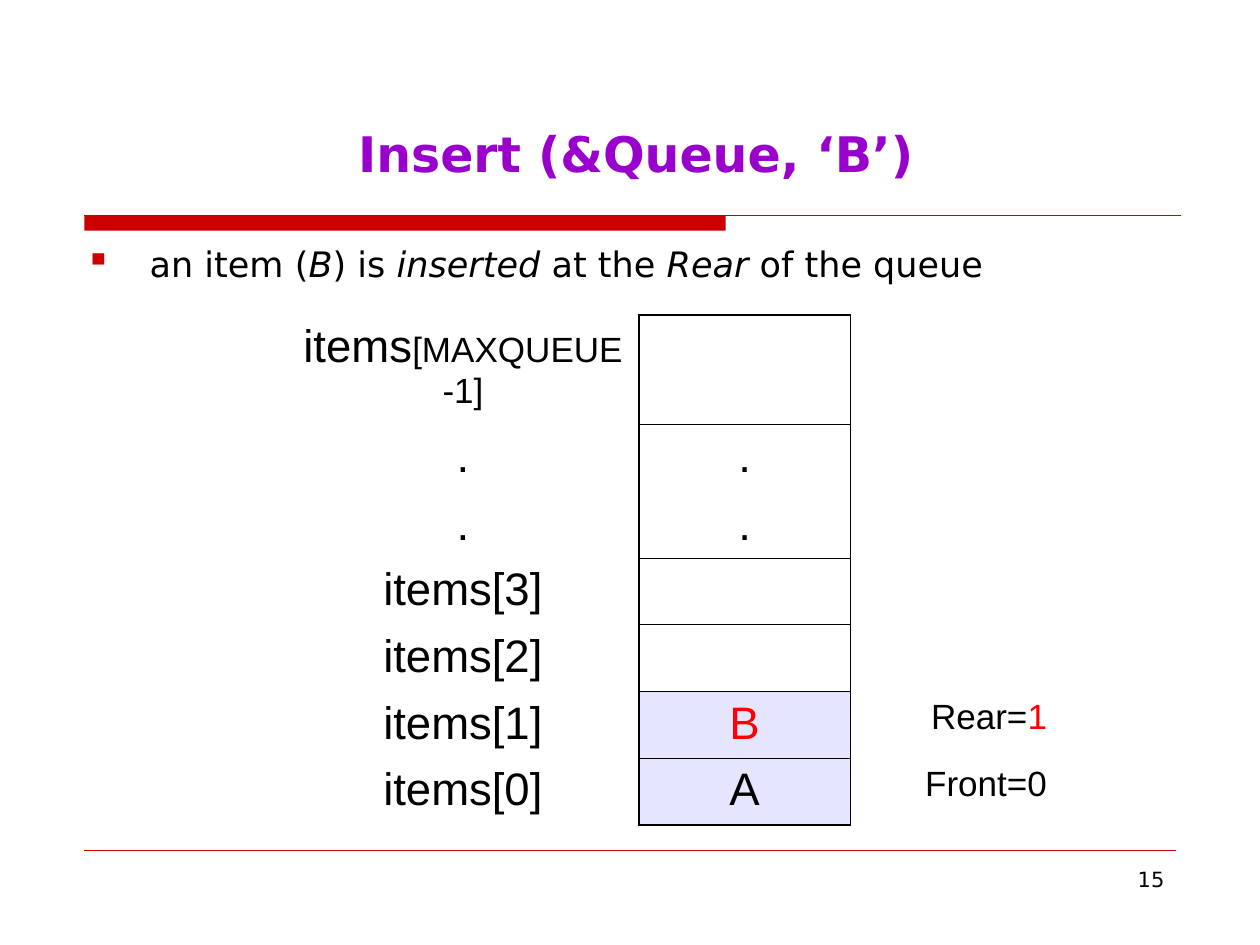
import pptx
import pptx.util
import pptx.dml.color
import pptx.enum.shapes
import pptx.enum.text
import pptx.oxml.ns
from lxml import etree

Inches = pptx.util.Inches
Pt = pptx.util.Pt
RGBColor = pptx.dml.color.RGBColor
ALIGN = pptx.enum.text.PP_ALIGN
ANCHOR = pptx.enum.text.MSO_ANCHOR
qn = pptx.oxml.ns.qn

BLACK = RGBColor(0x00, 0x00, 0x00)
RED = RGBColor(0xFF, 0x00, 0x00)
RULE_RED = RGBColor(0xCC, 0x00, 0x00)
PURPLE = RGBColor(0x99, 0x00, 0xCC)
LAVENDER = RGBColor(0xE5, 0xE5, 0xFF)
OUTER, INNER = 1.08, 0.45
SLIDE_FONT, TABLE_FONT = "DejaVu Sans", "Arial"


def add_run(paragraph, text, size=20, font=SLIDE_FONT, color=BLACK, bold=False, italic=False):
    run = paragraph.add_run()
    run.text = text
    run.font.size = Pt(size)
    run.font.name = font
    run.font.color.rgb = color
    run.font.bold = bold
    run.font.italic = italic


def add_text_box(slide, box):
    frame = slide.shapes.add_textbox(*map(Inches, box)).text_frame
    frame.word_wrap = True
    return frame.paragraphs[0]


def add_rule(slide, left, right, top, width):
    rule = slide.shapes.add_connector(
        pptx.enum.shapes.MSO_CONNECTOR.STRAIGHT,
        Inches(left), Inches(top), Inches(right), Inches(top))
    rule.line.color.rgb = RULE_RED
    rule.line.width = Pt(width)
    etree.SubElement(rule._element.spPr, qn("a:effectLst"))


def add_title(slide, box):
    title = slide.shapes.title
    title.left, title.top, title.width, title.height = map(Inches, box)
    frame = title.text_frame
    frame.vertical_anchor = ANCHOR.BOTTOM
    frame.auto_size = pptx.enum.text.MSO_AUTO_SIZE.NONE
    paragraph = frame.paragraphs[0]
    paragraph.alignment = ALIGN.CENTER
    add_run(paragraph, "Insert (&Queue, ‘B’)", size=28, color=PURPLE, bold=True)


def add_title_rule(slide, box):
    left, top, width, height = box
    bar = slide.shapes.add_shape(
        pptx.enum.shapes.MSO_SHAPE.RECTANGLE,
        Inches(left), Inches(top), Inches(5.09), Inches(height))
    bar.shadow.inherit = False
    bar.fill.solid()
    bar.fill.fore_color.rgb = RULE_RED
    bar.line.fill.background()
    add_rule(slide, left, left + width, top, 0.75)


def add_bullet_text(slide, box):
    paragraph = add_text_box(slide, box)
    paragraph.alignment = ALIGN.JUSTIFY
    paragraph.line_spacing = 1.14
    properties = paragraph._p.get_or_add_pPr()
    properties.set("marL", str(Inches(0.51)))
    properties.set("indent", str(-Inches(0.51)))
    bullet_color = etree.SubElement(properties, qn("a:buClr"))
    etree.SubElement(bullet_color, qn("a:srgbClr"), val=str(RULE_RED))
    etree.SubElement(properties, qn("a:buChar"), char="▪")
    # Every second piece is in italics
    pieces = ["an item (", "B", ") is ", "inserted ", "at the ", "Rear ", "of the queue"]
    for index, piece in enumerate(pieces):
        add_run(paragraph, piece, italic=index % 2 == 1)


def set_borders(cell, left=0, right=0, top=0, bottom=0):
    properties = cell._tc.get_or_add_tcPr()
    sides = {"a:lnL": left, "a:lnR": right, "a:lnT": top, "a:lnB": bottom}
    for position, (tag, width) in enumerate(sides.items()):
        line = etree.Element(qn(tag), w=str(Pt(width)))
        if width:
            fill = etree.SubElement(line, qn("a:solidFill"))
            etree.SubElement(fill, qn("a:srgbClr"), val=str(BLACK))
        else:
            etree.SubElement(line, qn("a:noFill"))
        properties.insert(position, line)


def fill_cell(cell, lines, alignment):
    """Each line is a list of (text, size, color) pieces."""
    cell.margin_top, cell.margin_bottom = Inches(0.05), 0
    cell.fill.background()
    frame = cell.text_frame
    for index, pieces in enumerate(lines):
        paragraph = frame.add_paragraph() if index else frame.paragraphs[0]
        paragraph.alignment = alignment
        for text, size, color in pieces:
            add_run(paragraph, text, size=size, font=TABLE_FONT, color=color)


def add_queue_table(slide, box):
    def word(text, color=BLACK):
        return [[(text, 26, color)]]

    top_label = [[("items", 26, BLACK), ("[MAXQUEUE", 20, BLACK)], [("-1]", 20, BLACK)]]
    rear = [[("Rear=", 20, BLACK), ("1", 20, RED)]]
    front = [[("Front=0", 20, BLACK)]]
    # Index label, stored item, marker
    rows = [
        (top_label, [], []),
        (word("."), word("."), []),
        (word("."), word("."), []),
        (word("items[3]"), [], []),
        (word("items[2]"), [], []),
        (word("items[1]"), word("B", RED), rear),
        (word("items[0]"), word("A"), front),
    ]
    heights = [0.87, 0.54, 0.52] + [0.53] * 4
    widths = [2.79, 1.68, 1.66]
    last = len(rows) - 1

    frame = slide.shapes.add_table(len(rows), len(widths), *map(Inches, box))
    table = frame.table
    table.first_row = table.horz_banding = False
    for column, width in zip(table.columns, widths):
        column.width = Inches(width)
    for index, (row, height) in enumerate(zip(rows, heights)):
        table.rows[index].height = Inches(height)
        label, item, marker = (table.cell(index, column) for column in range(3))
        for cell, lines, alignment in zip(
                (label, item, marker), row, (ALIGN.CENTER, ALIGN.CENTER, ALIGN.RIGHT)):
            fill_cell(cell, lines, alignment)
        if index >= last - 1:
            item.fill.solid()
            item.fill.fore_color.rgb = LAVENDER
        # The two dotted rows share one open cell of the queue
        above = OUTER if index == 0 else 0 if index == 2 else INNER
        below = OUTER if index == last else 0 if index == 1 else INNER
        set_borders(label, right=OUTER)
        set_borders(item, OUTER, OUTER, above, below)
        set_borders(marker, left=OUTER)


def add_footer(slide, box):
    add_rule(slide, 0.67, 9.33, 6.75, 0.25)
    paragraph = add_text_box(slide, box)
    paragraph.alignment = ALIGN.RIGHT
    add_run(paragraph, "15", size=12)


def main():
    presentation = pptx.Presentation()
    presentation.slide_width, presentation.slide_height = Inches(10), Inches(7.5)
    slide = presentation.slides.add_slide(presentation.slide_layouts[5])
    add_title_rule(slide, (0.67, 1.71, 8.7, 0.12))
    add_title(slide, (0.67, 0.75, 8.75, 0.75))
    add_bullet_text(slide, (0.58, 1.83, 8.83, 0.55))
    add_queue_table(slide, (2.28, 2.5, 6.13, 4.06))
    add_footer(slide, (7.17, 6.83, 2.17, 0.52))
    presentation.save("out.pptx")


if __name__ == "__main__":
    main()
